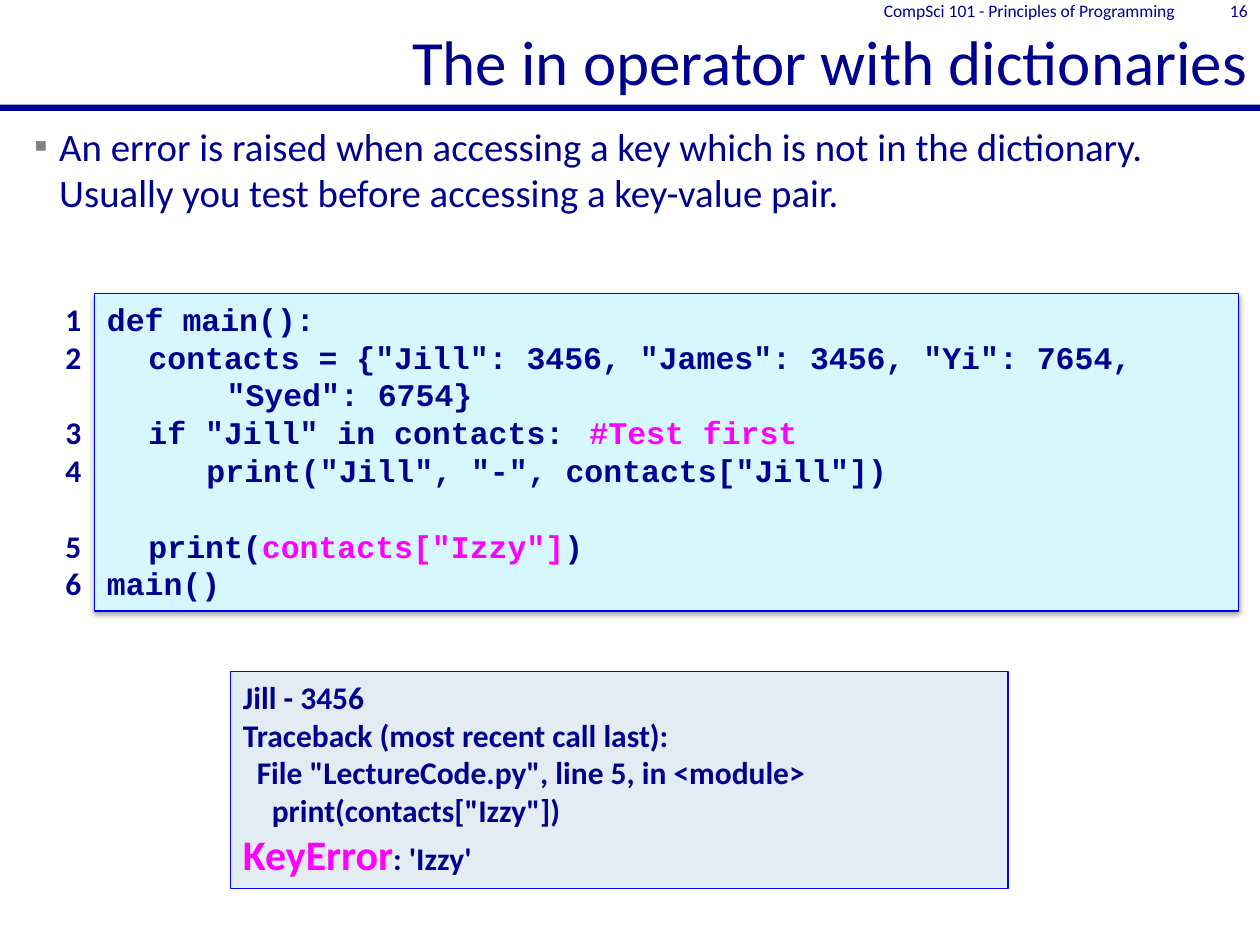
from dataclasses import dataclass

from lxml import etree
from pptx import Presentation
from pptx import util as u
from pptx.dml.color import RGBColor
from pptx.enum import shapes, text
from pptx.oxml import ns


@dataclass(frozen=True)
class Theme:
    ink: str = "000090"
    accent: str = "FF00FF"
    outline: str = "0000FF"
    code_fill: str = "D7F7FF"
    output_fill: str = "E3EBF3"
    bullet: str = "808080"
    sans: str = "Calibri"
    mono: str = "Courier New"
    title: float = 36
    body: float = 22.2
    code: float = 18
    error: float = 24
    header: float = 10
    pitch: float = 21.6  # line height shared by code and line numbers


THEME = Theme()


def add_xml(parent, tag, **attributes):
    values = {name: str(value) for name, value in attributes.items()}
    return etree.SubElement(parent, ns.qn(tag), values)


def apply(target, values):
    for name, value in values.items():
        setattr(target, name, value)


def place(shape, box):
    names = ("left", "top", "width", "height")
    apply(shape, {name: u.Inches(value) for name, value in zip(names, box)})


def add_span(para, words, size, color=THEME.ink, font=THEME.sans, bold=False):
    span = para.add_run()
    span.text = words
    apply(span.font, {"size": u.Pt(size), "name": font, "bold": bold})
    span.font.color.rgb = RGBColor.from_string(color)


def next_para(frame, index):
    return frame.paragraphs[0] if index == 0 else frame.add_paragraph()


def indent(para, margin, first=0):
    properties = para._p.get_or_add_pPr()
    properties.set("marL", str(u.Inches(margin)))
    properties.set("indent", str(u.Inches(first)))
    return properties


def add_panel(page, box, fill, line=None):
    left, top, width, height = map(u.Inches, box)
    panel = page.shapes.add_shape(
        shapes.MSO_SHAPE.RECTANGLE, left, top, width, height)
    panel.shadow.inherit = False
    panel.fill.solid()
    panel.fill.fore_color.rgb = RGBColor.from_string(fill)
    if line:
        panel.line.color.rgb = RGBColor.from_string(line)
        panel.line.width = u.Pt(0.75)
    else:
        panel.line.fill.background()
    apply(panel.text_frame, {"word_wrap": True,
                             "vertical_anchor": text.MSO_ANCHOR.TOP})
    return panel


def add_text(page, box):
    frame = page.shapes.add_textbox(*map(u.Inches, box)).text_frame
    frame.word_wrap = True
    return frame


def add_title(page, box, words):
    title = page.shapes.title
    place(title, box)
    apply(title.text_frame, {"vertical_anchor": text.MSO_ANCHOR.BOTTOM,
                             "auto_size": text.MSO_AUTO_SIZE.NONE})
    para = title.text_frame.paragraphs[0]
    para.alignment = text.PP_ALIGN.RIGHT
    add_span(para, words, THEME.title)


def add_body(page, box, words):
    body = page.placeholders[1]
    place(body, box)
    body.text_frame.auto_size = text.MSO_AUTO_SIZE.NONE
    para = body.text_frame.paragraphs[0]
    para.space_before = u.Pt(4.4)
    properties = indent(para, 0.2, -0.2)
    color = add_xml(properties, "a:buClr")
    add_xml(color, "a:srgbClr", val=THEME.bullet)
    add_xml(properties, "a:buFont", typeface="Arial")
    add_xml(properties, "a:buChar", char="▪")
    add_span(para, words, THEME.body)


def add_header(page, box, words):
    frame = add_text(page, box)
    apply(frame, {"vertical_anchor": text.MSO_ANCHOR.MIDDLE})
    para = frame.paragraphs[0]
    para.alignment = text.PP_ALIGN.RIGHT
    add_span(para, words, THEME.header)


def add_code(page, box, lines):
    """Each line is (indent, first-line offset, rows skipped, spans)."""
    panel = add_panel(page, box, THEME.code_fill, THEME.outline)
    effects = panel._element.spPr.find(ns.qn("a:effectLst"))
    shadow = add_xml(effects, "a:outerShdw", blurRad=u.Pt(3.1), dist=u.Pt(1.6),
                     dir=5400000, rotWithShape=0)
    color = add_xml(shadow, "a:srgbClr", val="000000")
    add_xml(color, "a:alpha", val=38000)
    for index, (margin, first, skipped, spans) in enumerate(lines):
        para = next_para(panel.text_frame, index)
        apply(para, {"alignment": text.PP_ALIGN.LEFT,
                     "line_spacing": u.Pt(THEME.pitch),
                     "space_before": u.Pt(THEME.pitch * skipped)})
        properties = indent(para, margin, first)
        if any("\t" in words for words, _ in spans):
            tabs = add_xml(properties, "a:tabLst")
            add_xml(tabs, "a:tab", pos=u.Inches(6), algn="l")
        for words, tint in spans:
            add_span(para, words, THEME.code, tint, THEME.mono, True)


def add_line_numbers(page, box, skips):
    frame = add_text(page, box)
    for index, skipped in enumerate(skips):
        para = next_para(frame, index)
        apply(para, {"line_spacing": u.Pt(THEME.pitch),
                     "space_before": u.Pt(THEME.pitch * skipped)})
        add_span(para, str(index + 1), THEME.code, bold=True)


def add_output(page, box, lines):
    """Each line is (indent, spans of words, size and colour)."""
    frame = add_panel(page, box, THEME.output_fill, THEME.outline).text_frame
    for index, (margin, spans) in enumerate(lines):
        para = next_para(frame, index)
        para.alignment = text.PP_ALIGN.LEFT
        indent(para, margin)
        for words, size, tint in spans:
            add_span(para, words, size, tint, bold=True)


def main():
    deck = Presentation()
    apply(deck, {"slide_width": u.Inches(10), "slide_height": u.Inches(7.5)})
    page = deck.slides.add_slide(deck.slide_layouts[1])
    ink, accent, size = THEME.ink, THEME.accent, THEME.code

    # Heading, rule and page header
    add_panel(page, (0, 0.83, 10, 0.05), ink)
    add_title(page, (0, 0, 10, 0.83), "The in operator with dictionaries")
    add_header(page, (6.42, 0, 3, 0.17), "CompSci 101 - Principles of Programming")
    add_header(page, (9.42, 0, 0.58, 0.17), "16")

    # Explanation
    add_body(page, (0.17, 0.92, 9.75, 4.25),
             "An error is raised when accessing a key which is not in the "
             "dictionary. Usually you test before accessing a key-value pair.")

    # Program with its line numbers
    add_code(page, (0.75, 2.33, 9.08, 2.52), [
        (0, 0, 0, [("def main():", ink)]),
        (0.95, -0.62, 0, [('contacts = {"Jill": 3456, "James": 3456, '
                           '"Yi": 7654, "Syed": 6754}', ink)]),
        (0.33, 0, 0, [('if "Jill" in contacts:\t', ink),
                      ("#Test first", accent)]),
        (0.79, 0, 0, [('print("Jill", "-", contacts["Jill"])', ink)]),
        (0.33, 0, 1, [("print(", ink), ('contacts["Izzy"]', accent), (")", ink)]),
        (0, 0, 0, [("main()", ink)]),
    ])
    add_line_numbers(page, (0.42, 2.33, 0.58, 2.83), (0, 0, 1, 0, 1, 0))

    # Output of the program
    add_output(page, (1.83, 5.33, 6.17, 1.72), [
        (0, [("Jill - 3456", size, ink)]),
        (0, [("Traceback (most recent call last):", size, ink)]),
        (0.11, [('File "LectureCode.py", line 5, in <module>', size, ink)]),
        (0.23, [('print(contacts["Izzy"])', size, ink)]),
        (0, [("KeyError", THEME.error, accent), (": 'Izzy'", size, ink)]),
    ])
    deck.save("out.pptx")


if __name__ == "__main__":
    main()
